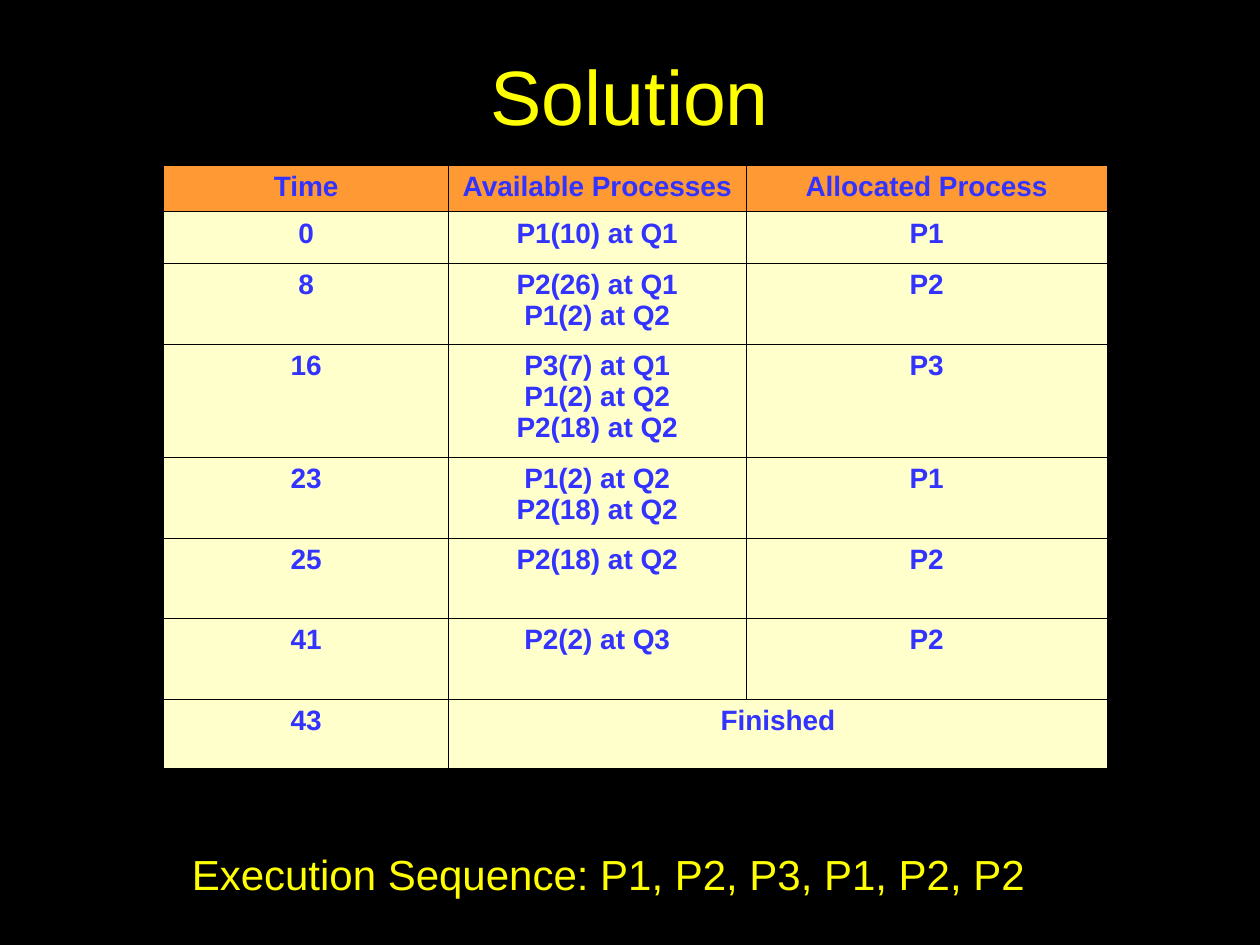
from lxml.etree import SubElement
from pptx import Presentation
from pptx.dml.color import RGBColor
from pptx.enum.text import MSO_ANCHOR, PP_ALIGN
from pptx.oxml.ns import qn
from pptx.util import Inches, Pt

COLORS = {
    "background": "000000",
    "heading": "FFFF00",
    "header_fill": "FF9933",
    "body_fill": "FFFFCC",
    "cell_text": "3333FF",
    "border": "000000",
}
FONT = "Arial"
BORDER_WIDTH = Pt(0.4)
COL_WIDTHS = [2.26, 2.36, 2.87]
ROW_HEIGHTS = [0.37, 0.41, 0.64, 0.9, 0.64, 0.64, 0.64, 0.55]
ROWS = [
    ("Time", ["Available Processes"], "Allocated Process"),
    ("0", ["P1(10) at Q1"], "P1"),
    ("8", ["P2(26) at Q1", "P1(2) at Q2"], "P2"),
    ("16", ["P3(7) at Q1", "P1(2) at Q2", "P2(18) at Q2"], "P3"),
    ("23", ["P1(2) at Q2", "P2(18) at Q2"], "P1"),
    ("25", ["P2(18) at Q2"], "P2"),
    ("41", ["P2(2) at Q3"], "P2"),
    ("43", ["Finished"], None),
]


def color(name):
    return RGBColor.from_string(COLORS[name])


def write_lines(tf, lines, size, color_name, bold=False):
    for i, line in enumerate(lines):
        p = tf.add_paragraph() if i else tf.paragraphs[0]
        p.alignment = PP_ALIGN.CENTER
        r = p.add_run()
        r.text = line
        r.font.name = FONT
        r.font.size = Pt(size)
        r.font.bold = bold
        r.font.color.rgb = color(color_name)


def add_heading(s, text, size, left, top, width, height):
    sp = s.shapes.add_textbox(Inches(left), Inches(top), Inches(width), Inches(height))
    tf = sp.text_frame
    tf.word_wrap = True
    tf.vertical_anchor = MSO_ANCHOR.MIDDLE
    write_lines(tf, [text], size, "heading")


def style_cell(cell, fill_name):
    """Outline the cell on all sides, then fill it."""
    tc_pr = cell._tc.get_or_add_tcPr()
    for side in ("lnL", "lnR", "lnT", "lnB"):
        ln = SubElement(tc_pr, qn(f"a:{side}"), w=str(BORDER_WIDTH))
        solid = SubElement(ln, qn("a:solidFill"))
        SubElement(solid, qn("a:srgbClr"), val=COLORS["border"])
    cell.fill.solid()
    cell.fill.fore_color.rgb = color(fill_name)


def add_schedule(s, left, top):
    table = s.shapes.add_table(
        len(ROWS), len(COL_WIDTHS), Inches(left), Inches(top),
        Inches(sum(COL_WIDTHS)), Inches(sum(ROW_HEIGHTS)),
    ).table
    for col, width in zip(table.columns, COL_WIDTHS):
        col.width = Inches(width)
    for i, (time, available, allocated) in enumerate(ROWS):
        table.rows[i].height = Inches(ROW_HEIGHTS[i])
        if allocated is None:
            table.cell(i, 1).merge(table.cell(i, 2))
        for j, lines in enumerate(([time], available, [allocated])):
            cell = table.cell(i, j)
            style_cell(cell, "body_fill" if i else "header_fill")
            if not cell.is_spanned:
                write_lines(cell.text_frame, lines, 16, "cell_text", bold=True)


def main():
    prs = Presentation()
    prs.slide_width, prs.slide_height = Inches(10), Inches(7.5)
    s = prs.slides.add_slide(prs.slide_layouts[6])
    s.background.fill.solid()
    s.background.fill.fore_color.rgb = color("background")
    add_heading(s, "Solution", 44, 0.5, 0.13, 9, 1.25)
    add_schedule(s, 1.3, 1.31)
    add_heading(s, "Execution Sequence: P1, P2, P3, P1, P2, P2", 24, 0.33, 6.66, 9, 0.55)
    prs.save("out.pptx")


if __name__ == "__main__":
    main()
